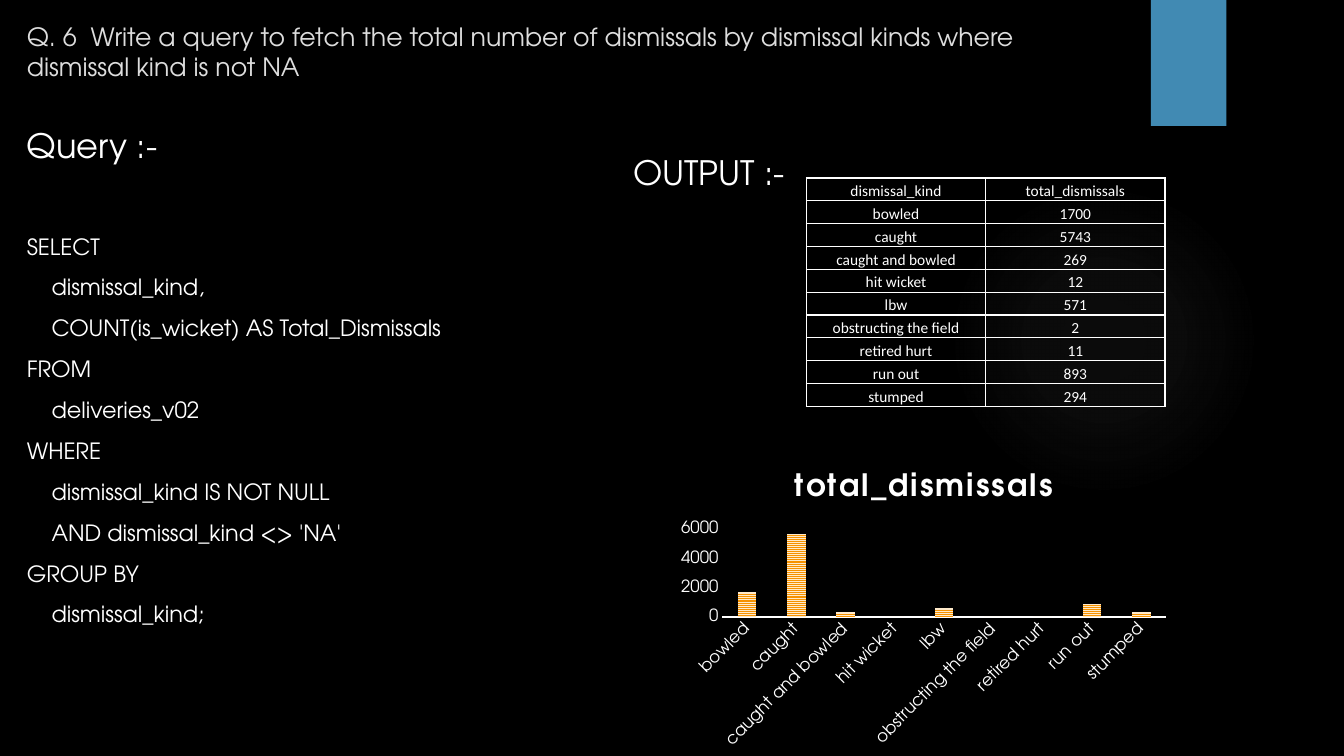
from lxml import etree
from pptx import Presentation
from pptx import util as u
from pptx.chart.data import CategoryChartData
from pptx.dml.color import RGBColor
from pptx.enum import chart as charts, dml, shapes, text
from pptx.oxml import parse_xml
from pptx.oxml.ns import nsdecls, qn

BLACK = RGBColor(0x00, 0x00, 0x00)
WHITE = RGBColor(0xFF, 0xFF, 0xFF)
PALE_GREY = RGBColor(0xDD, 0xDD, 0xDD)
GLOW_GREY = RGBColor(0x9E, 0x9E, 0x9E)
BLUE = RGBColor(0x41, 0x8A, 0xB3)
ORANGE = RGBColor(0xF6, 0x92, 0x00)
CREAM = RGBColor(0xFF, 0xEA, 0xCA)

DISPLAY_FONT = "TeX Gyre Adventor"
TABLE_FONT = "Calibri"

SLIDE_W, SLIDE_H = u.Inches(13.33), u.Inches(7.5)
COLUMNS, ROWS = 16, 9

QUESTION = ("Q. 6  Write a query to fetch the total number of dismissals "
            "by dismissal kinds where dismissal kind is not NA")
QUERY = """SELECT
    dismissal_kind,
    COUNT(is_wicket) AS Total_Dismissals
FROM
    deliveries_v02
WHERE
    dismissal_kind IS NOT NULL
    AND dismissal_kind <> 'NA'
GROUP BY
    dismissal_kind;""".split("\n")
HEADINGS = ("dismissal_kind", "total_dismissals")
DISMISSALS = {
    "bowled": 1700,
    "caught": 5743,
    "caught and bowled": 269,
    "hit wicket": 12,
    "lbw": 571,
    "obstructing the field": 2,
    "retired hurt": 11,
    "run out": 893,
    "stumped": 294,
}


def grid(column, row, across, down):
    """Turn a place on the 16 by 9 grid into left, top, width, height."""
    cell_w, cell_h = SLIDE_W / COLUMNS, SLIDE_H / ROWS
    return (round(column * cell_w), round(row * cell_h),
            round(across * cell_w), round(down * cell_h))


def style_font(font, size, color=WHITE, name=DISPLAY_FONT, bold=False):
    font.size, font.name, font.bold = u.Pt(size), name, bold
    font.color.rgb = color


def add_backdrop_shape(slide, preset, place):
    backdrop = slide.shapes.add_shape(preset, *place)
    backdrop.shadow.inherit = False
    backdrop.line.fill.background()
    slide.shapes.element.insert(2, backdrop.element)
    return backdrop


def add_glow(slide, place):
    """Add a faint round light that fades out towards its rim."""
    glow = add_backdrop_shape(slide, shapes.MSO_SHAPE.OVAL, place)
    stops = "".join(
        f'<a:gs pos="{position * 1000}"><a:srgbClr val="{GLOW_GREY}">'
        f'<a:alpha val="{opacity * 1000}"/></a:srgbClr></a:gs>'
        for position, opacity in ((0, 7), (36, 6), (69, 0), (100, 0)))
    gradient = parse_xml(
        f'<a:gradFill {nsdecls("a")} rotWithShape="1"><a:gsLst>{stops}</a:gsLst>'
        '<a:path path="circle"><a:fillToRect l="50000" t="50000" r="50000" '
        'b="50000"/></a:path></a:gradFill>')
    glow.element.spPr.find(qn("a:prstGeom")).addnext(gradient)


def fill_placeholder(placeholder, place, lines, anchor):
    """Write (text, size, colour, space before) lines without bullets."""
    placeholder.left, placeholder.top, placeholder.width, placeholder.height = place
    frame = placeholder.text_frame
    frame.text = "\n".join(line[0] for line in lines)
    frame.word_wrap = True
    frame.auto_size = text.MSO_AUTO_SIZE.NONE
    frame.vertical_anchor = anchor
    for paragraph, (_, size, color, space) in zip(frame.paragraphs, lines):
        properties = paragraph._p.get_or_add_pPr()
        properties.set("marL", "0")
        properties.set("indent", "0")
        etree.SubElement(properties, qn("a:buNone"))
        paragraph.alignment = text.PP_ALIGN.LEFT
        paragraph.space_before = u.Pt(space)
        for run in paragraph.runs:
            style_font(run.font, size, color)


def border_cell(cell):
    properties = cell._tc.get_or_add_tcPr()
    for side in ("lnL", "lnR", "lnT", "lnB"):
        properties.append(parse_xml(
            f'<a:{side} {nsdecls("a")} w="{u.Pt(1)}"><a:solidFill>'
            f'<a:srgbClr val="{WHITE}"/></a:solidFill></a:{side}>'))


def add_output_table(slide, place):
    rows = [HEADINGS, *DISMISSALS.items()]
    output = slide.shapes.add_table(len(rows), len(HEADINGS), *place).table
    output.first_row = output.horz_banding = False
    for r, row in enumerate(rows):
        for c, value in enumerate(row):
            cell = output.cell(r, c)
            border_cell(cell)
            cell.fill.background()
            cell.margin_left = cell.margin_right = cell.margin_top = u.Inches(0.01)
            cell.margin_bottom = 0
            cell.vertical_anchor = text.MSO_ANCHOR.BOTTOM
            paragraph = cell.text_frame.paragraphs[0]
            paragraph.text = str(value)
            paragraph.alignment = text.PP_ALIGN.CENTER
            style_font(paragraph.runs[0].font, 11, name=TABLE_FONT)


def style_axis(axis):
    axis.has_major_gridlines = False
    axis.major_tick_mark = axis.minor_tick_mark = charts.XL_TICK_MARK.NONE
    style_font(axis.tick_labels.font, 12)


def place_plot_area(chart, **shares):
    """Fix the inner plot area at shares x, y, w and h of the chart."""
    plot_area = chart._chartSpace.chart.plotArea
    for automatic in plot_area.findall(qn("c:layout")):
        plot_area.remove(automatic)
    sizes = "".join(f'<c:{key} val="{share}"/>' for key, share in shares.items())
    plot_area.insert(0, parse_xml(
        f'<c:layout {nsdecls("c")}><c:manualLayout><c:layoutTarget val="inner"/>'
        '<c:xMode val="edge"/><c:yMode val="edge"/>'
        f'{sizes}</c:manualLayout></c:layout>'))


def add_dismissals_chart(slide, place):
    series_name = HEADINGS[1]
    data = CategoryChartData()
    data.categories = DISMISSALS.keys()
    data.add_series(series_name, [round(total, -2) for total in DISMISSALS.values()])
    chart = slide.shapes.add_chart(
        charts.XL_CHART_TYPE.COLUMN_CLUSTERED, *place, data).chart
    style_font(chart.font, 10)
    chart.has_legend = False
    place_plot_area(chart, x=0.1, y=0.25, w=0.88, h=0.29)

    chart.has_title = True
    chart.chart_title.include_in_layout = False
    heading = chart.chart_title.text_frame.paragraphs[0]
    heading.text = series_name
    style_font(heading.runs[0].font, 22, bold=True)
    heading.runs[0]._r.get_or_add_rPr().set("spc", "160")

    kinds, totals = chart.category_axis, chart.value_axis
    style_axis(kinds)
    kinds.format.line.color.rgb = WHITE
    kinds.format.line.width = u.Pt(1.5)
    kinds._element.txPr.find(qn("a:bodyPr")).set("rot", "-2700000")
    style_axis(totals)
    totals.format.line.fill.background()
    totals.minimum_scale, totals.maximum_scale, totals.major_unit = 0, 6000, 2000

    bars = chart.plots[0]
    bars.vary_by_categories = False
    bars.gap_width, bars.overlap = 164, -22
    fill = bars.series[0].format.fill
    fill.patterned()
    fill.pattern = dml.MSO_PATTERN.NARROW_HORIZONTAL
    fill.fore_color.rgb, fill.back_color.rgb = ORANGE, CREAM


def main():
    deck = Presentation()
    deck.slide_width, deck.slide_height = SLIDE_W, SLIDE_H
    slide = deck.slides.add_slide(deck.slide_layouts.get_by_name("Two Content"))
    slide.background.fill.solid()
    slide.background.fill.fore_color.rgb = BLACK

    ribbon = add_backdrop_shape(slide, shapes.MSO_SHAPE.RECTANGLE,
                                grid(13.7, 0, 0.9, 1.5))
    ribbon.fill.solid()
    ribbon.fill.fore_color.rgb = BLUE
    add_glow(slide, grid(11.29, 2.2, 3.7, 3.7))

    title, query, output = slide.placeholders
    top = text.MSO_ANCHOR.TOP
    fill_placeholder(title, grid(0.2, 0.16, 12.35, 0.91),
                     [(QUESTION, 18, PALE_GREY, 0)], text.MSO_ANCHOR.MIDDLE)
    query_lines = [("Query :-", 24, WHITE, 0), (QUERY[0], 16, WHITE, 48)]
    query_lines += [(line, 16, WHITE, 10) for line in QUERY[1:]]
    fill_placeholder(query, grid(0.2, 1.43, 6.86, 7.38), query_lines, top)
    fill_placeholder(output, grid(7.42, 1.75, 7.3, 6.46),
                     [("OUTPUT :-", 24, WHITE, 0)], top)

    add_output_table(slide, grid(9.6, 2.12, 4.27, 2.72))
    add_dismissals_chart(slide, grid(8, 5.4, 6, 3.6))
    deck.save("out.pptx")


if __name__ == "__main__":
    main()
